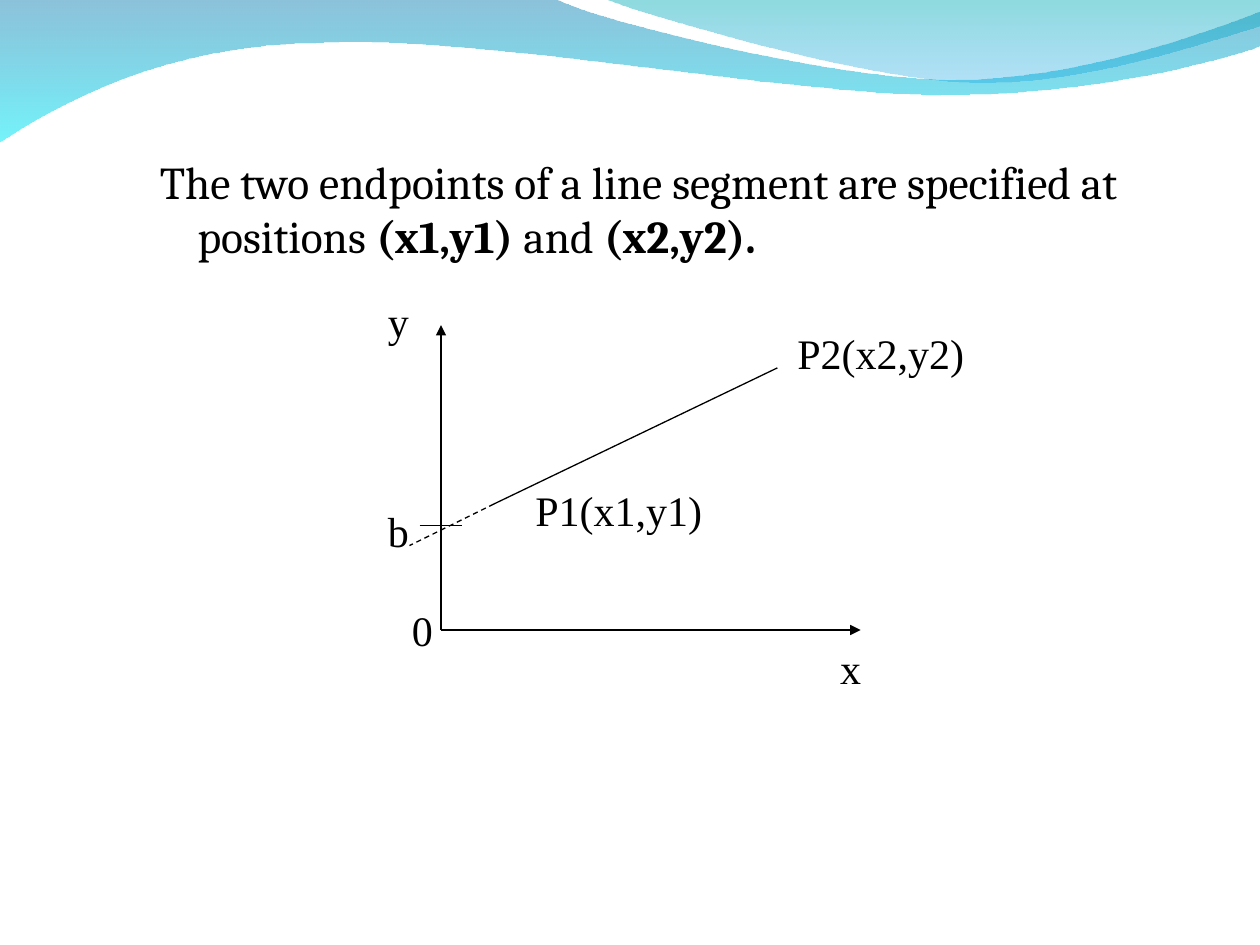
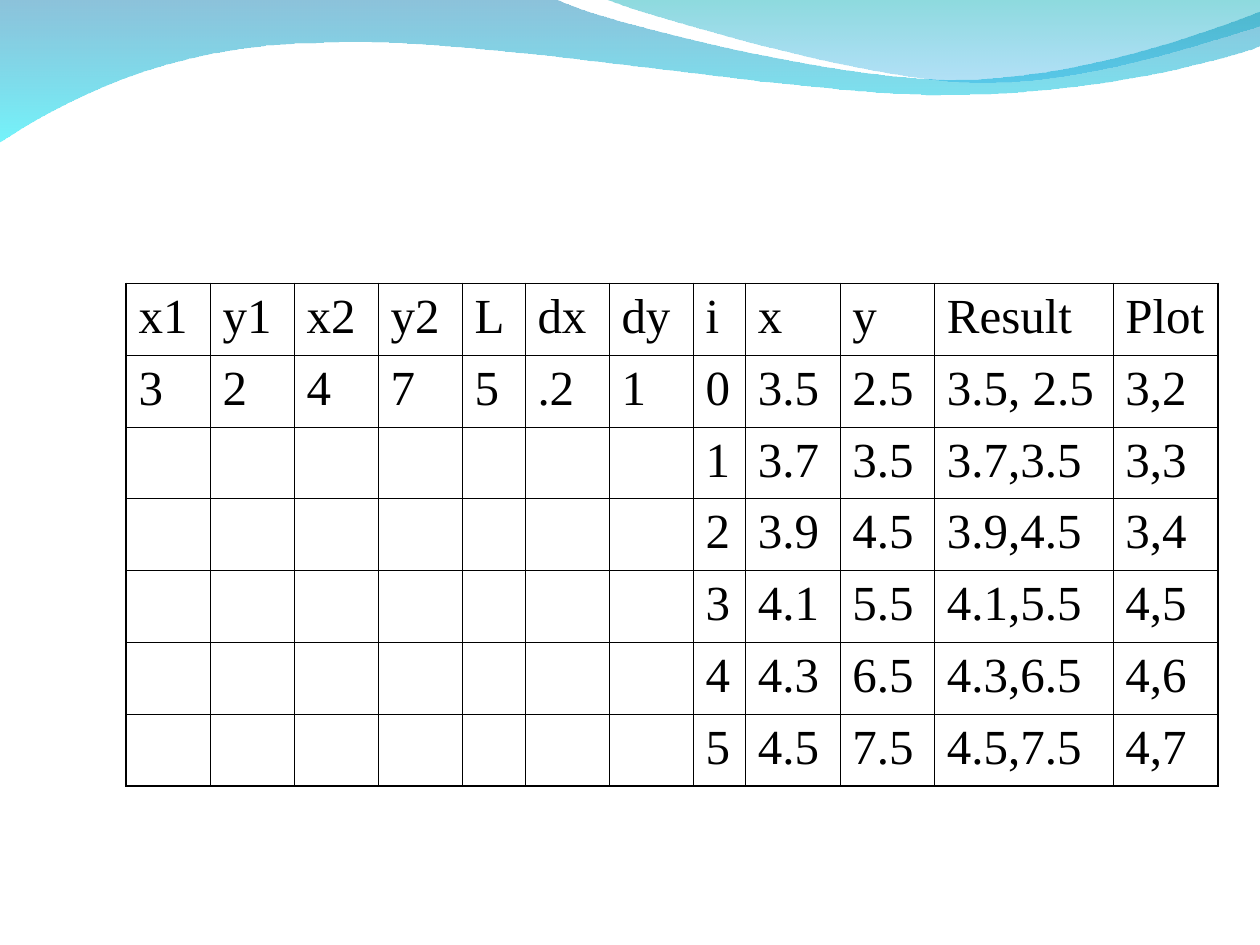
from lxml import etree
from pptx import Presentation
from pptx.dml.color import RGBColor
from pptx.enum.dml import MSO_LINE
from pptx.enum.shapes import MSO_CONNECTOR
from pptx.enum.text import MSO_AUTO_SIZE
from pptx.oxml.ns import qn
from pptx.util import Inches, Pt

STRAIGHT = MSO_CONNECTOR.STRAIGHT
DASH = MSO_LINE.DASH
FIT_TEXT = MSO_AUTO_SIZE.SHAPE_TO_FIT_TEXT

COLORS = {
    "ink": "000000",
    "deep_blue": "0079AF",
    "cyan": "00EBF8",
    "teal": "00ADB6",
    "sky": "009BE5",
}
BODY_FONT = "Cambria"
LABEL_FONT = "Times New Roman"
THIN, THICK = 0.45, 1.08

WAVES = [
    {
        "start": (0, -0.01),
        "segments": [
            [(4.4, -0.01)],
            [(4.76, 0.17), (6.64, 0.63), (7.58, 0.63)],
            [(8.53, 0.63), (9.58, 0.26), (10, 0.09)],
            [(10.01, 0.36)],
            [(9.83, 0.44), (8.7, 0.76), (7.46, 0.75)],
            [(6.22, 0.75), (3.82, 0.28), (2.57, 0.34)],
            [(1.29, 0.35), (0.46, 0.83), (-0.01, 1.13)],
            [(0, -0.01)],
        ],
        "stops": [("deep_blue", 45), ("cyan", 55)],
    },
    {
        "start": (4.79, -0.01),
        "segments": [
            [(5.09, 0.11), (6.82, 0.62), (7.69, 0.65)],
            [(8.56, 0.69), (9.61, 0.32), (10, 0.21)],
            [(10, 0)],
            [(4.79, -0.01)],
        ],
        "stops": [("teal", 45), ("sky", 30)],
    },
]

COLUMN_TWELFTHS = [8, 8, 8, 8, 6, 8, 8, 5, 9, 9, 17, 10]
HEADER = ["x1", "y1", "x2", "y2", "L", "dx", "dy", "i", "x", "y", "Result", "Plot"]
INPUTS = ["3", "2", "4", "7", "5", ".2", "1"]
STEPS = [
    ["0", "3.5", "2.5", "3.5, 2.5", "3,2"],
    ["1", "3.7", "3.5", "3.7,3.5", "3,3"],
    ["2", "3.9", "4.5", "3.9,4.5", "3,4"],
    ["3", "4.1", "5.5", "4.1,5.5", "4,5"],
    ["4", "4.3", "6.5", "4.3,6.5", "4,6"],
    ["5", "4.5", "7.5", "4.5,7.5", "4,7"],
]


def rgb(name):
    return RGBColor.from_string(COLORS[name])


def bend_segments(sp, segments):
    edges = iter(list(sp._element.iter(qn("a:lnTo"))))
    for segment in segments:
        parts = [next(edges) for _ in segment]
        if len(parts) == 3:
            curve = etree.Element(qn("a:cubicBezTo"))
            parts[0].addprevious(curve)
            for part in parts:
                curve.append(part[0])
                part.getparent().remove(part)


def add_wave(s, start, segments, stops):
    points = [start] + [point for segment in segments for point in segment]
    emu = [(Inches(x), Inches(y)) for x, y in points]
    builder = s.shapes.build_freeform(*emu[0], scale=1.0)
    builder.add_line_segments(emu[1:], close=True)
    sp = builder.convert_to_shape()
    bend_segments(sp, segments)
    sp.shadow.inherit = False
    sp.fill.gradient()
    sp.fill.gradient_angle = 270
    for stop, (name, _) in zip(sp.fill.gradient_stops, stops):
        stop.color.rgb = rgb(name)
    for color, (_, opacity) in zip(sp._element.spPr.iter(qn("a:srgbClr")), stops):
        etree.SubElement(color, qn("a:alpha")).set("val", str(opacity * 1000))
    sp.line.fill.background()
    return sp


def move_waves_to_layout(s):
    for wave in WAVES:
        sp = add_wave(s, **wave)
        s.slide_layout.shapes._spTree.append(sp._element)


def add_run(p, text, font, size, bold=False):
    r = p.add_run()
    r.text = text
    for name, value in {"name": font, "size": Pt(size), "bold": bold}.items():
        setattr(r.font, name, value)
    r.font.color.rgb = rgb("ink")


def add_statement(s, left, top, width, height, runs):
    tf = s.shapes.add_textbox(*map(Inches, (left, top, width, height))).text_frame
    tf.word_wrap = True
    p = tf.paragraphs[0]
    p.space_before = Pt(6.5)
    pPr = p._p.get_or_add_pPr()
    pPr.set("marL", str(Inches(0.3)))
    pPr.set("indent", str(Inches(-0.3)))
    for text, bold in runs:
        add_run(p, text, BODY_FONT, 26, bold)


def add_label(s, text, left, top, width=0.36):
    tf = s.shapes.add_textbox(*map(Inches, (left, top, width, 0.5))).text_frame
    tf.word_wrap = False
    tf.auto_size = FIT_TEXT
    add_run(tf.paragraphs[0], text, LABEL_FONT, 24)


def add_line(s, start, end, dashed=False, arrow=False):
    cxn = s.shapes.add_connector(STRAIGHT, *map(Inches, (*start, *end)))
    cxn.line.color.rgb = rgb("ink")
    cxn.line.width = Pt(0.75)
    if dashed:
        cxn.line.dash_style = DASH
    if arrow:
        etree.SubElement(cxn.line._get_or_add_ln(), qn("a:tailEnd")).set("type", "triangle")
    etree.SubElement(cxn._element.spPr, qn("a:effectLst"))


def set_borders(cell, widths):
    tcPr = cell._tc.get_or_add_tcPr()
    for index, (side, width) in enumerate(widths.items()):
        ln = etree.Element(qn(f"a:ln{side}"), w=str(Pt(width)))
        fill = etree.SubElement(ln, qn("a:solidFill"))
        etree.SubElement(fill, qn("a:srgbClr")).set("val", COLORS["ink"])
        tcPr.insert(index, ln)


def add_grid(s, left, top, rows, twelfths, row_height):
    n_rows, n_cols = len(rows), len(twelfths)
    table = s.shapes.add_table(n_rows, n_cols, Inches(left), Inches(top),
                               Inches(sum(twelfths) / 12),
                               Inches(row_height * n_rows)).table
    table.first_row = table.horz_banding = False
    for column, width in zip(table.columns, twelfths):
        column.width = Inches(width / 12)
    for i, row in enumerate(rows):
        table.rows[i].height = Inches(row_height)
        for j, text in enumerate(row):
            cell = table.cell(i, j)
            cell.fill.background()
            edges = {"L": j == 0, "R": j == n_cols - 1,
                     "T": i == 0, "B": i == n_rows - 1}
            set_borders(cell, {side: THICK if outer else THIN
                               for side, outer in edges.items()})
            if text:
                p = cell.text_frame.paragraphs[0]
                p.space_before = Pt(7)
                add_run(p, text, LABEL_FONT, 28)


def build_line_segment(s):
    add_statement(s, 1.17, 1.17, 8.5, 6, [
        ("The two endpoints of a line segment are specified at positions ", False),
        ("(x1,y1)", True),
        (" and ", False),
        ("(x2,y2).", True),
    ])
    origin, p1 = (3.5, 5), (3.92, 4)
    add_line(s, origin, (3.5, 2.58), arrow=True)
    add_line(s, origin, (6.83, 5), arrow=True)
    add_label(s, "x", 6.57, 5.05)
    add_label(s, "y", 2.98, 2.3)
    add_line(s, p1, (6.17, 2.92))
    add_line(s, p1, (3.25, 4.33), dashed=True)
    add_label(s, "P1(x1,y1)", 4.15, 3.8, 1.54)
    add_label(s, "P2(x2,y2)", 6.23, 2.55, 1.54)
    add_label(s, "b", 2.98, 3.96)
    add_line(s, (3.33, 4.17), (3.67, 4.17))
    add_label(s, "0", 3.17, 4.75)


def build_step_table(s):
    blanks = [""] * len(INPUTS)
    rows = [HEADER, INPUTS + STEPS[0]] + [blanks + step for step in STEPS[1:]]
    add_grid(s, 1, 2.25, rows, COLUMN_TWELFTHS, 0.57)


def main():
    prs = Presentation()
    prs.slide_width, prs.slide_height = Inches(10), Inches(7.5)
    blank = prs.slide_layouts[6]
    segment_slide, table_slide = [prs.slides.add_slide(blank) for _ in range(2)]
    move_waves_to_layout(segment_slide)
    build_line_segment(segment_slide)
    build_step_table(table_slide)
    prs.save("out.pptx")


if __name__ == "__main__":
    main()
